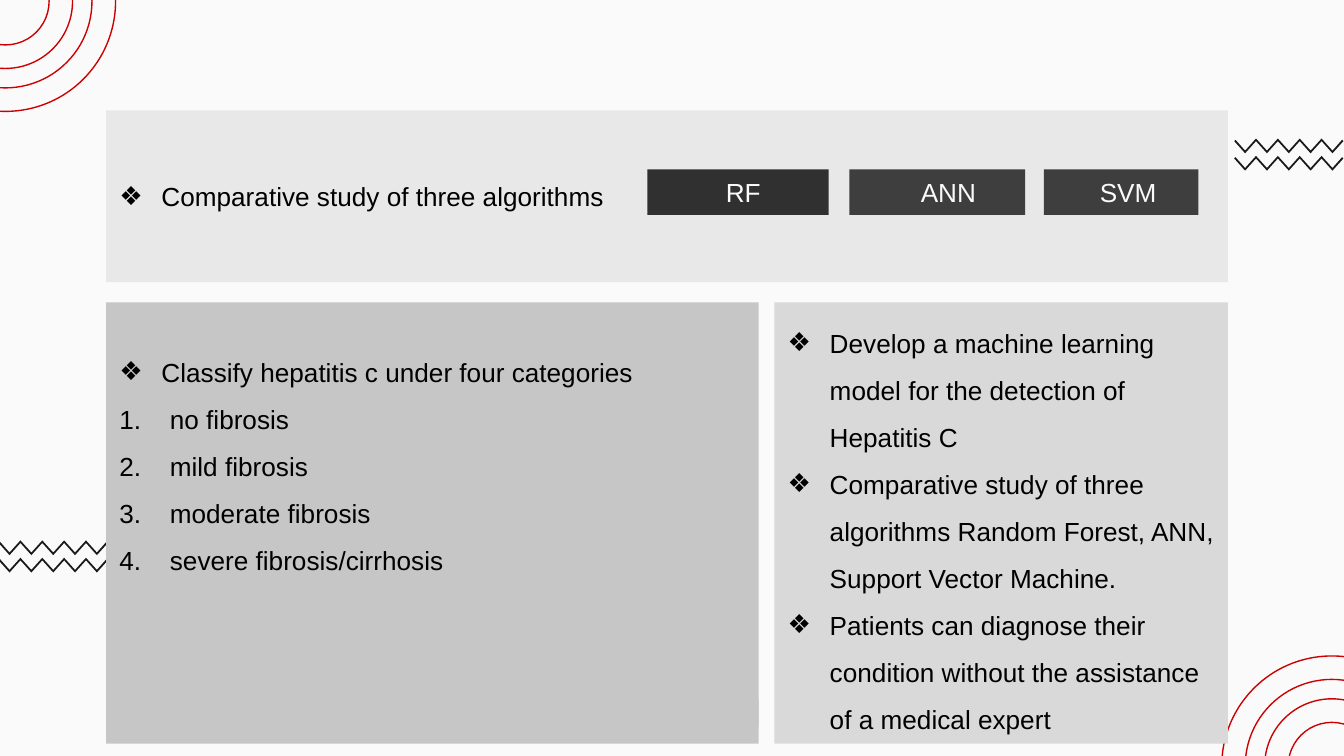
from lxml import etree
from pptx import Presentation
from pptx.dml.color import RGBColor
from pptx.enum.shapes import MSO_SHAPE
from pptx.enum.text import MSO_ANCHOR, PP_ALIGN
from pptx.oxml.ns import qn
from pptx.util import Pt

RECT, OVAL = MSO_SHAPE.RECTANGLE, MSO_SHAPE.OVAL
TOP, MIDDLE = MSO_ANCHOR.TOP, MSO_ANCHOR.MIDDLE
LEFT = PP_ALIGN.LEFT
FONT = "Arial"
COLORS = {
    "paper": "FAFAFA", "black": "000000", "wave": "191919", "ring": "CC0000",
    "pale": "E8E8E8", "mid": "C6C6C6", "soft": "D9D9D9",
    "dark": "303030", "slate": "3E3E3E",
}
RADII = (59, 46.4, 36, 23.4)
CARD_X, CARD_Y = 56.9, 162
TAGS = (
    ("RF", 346.8, 97.2, 42, "dark"),
    ("ANN", 455, 94.2, 38.3, "slate"),
    ("SVM", 559.2, 82.8, 30, "slate"),
)
STAGES = ("no fibrosis", "mild fibrosis", "moderate fibrosis",
          "severe fibrosis/cirrhosis")
GOALS = (
    "Develop a machine learning model for the detection of Hepatitis C",
    "Comparative study of three algorithms Random Forest, ANN, "
    "Support Vector Machine.",
    "Patients can diagnose their condition without the assistance "
    "of a medical expert",
)


def color(name):
    return RGBColor.from_string(COLORS[name])


def paint(shape, fill):
    shape.fill.solid()
    shape.fill.fore_color.rgb = color(fill)
    shape.line.fill.background()
    shape.shadow.inherit = False


def add_box(slide, x, y, w, h, fill, inset=(7.2, 3.6), anchor=MIDDLE):
    box = slide.shapes.add_shape(RECT, Pt(x), Pt(y), Pt(w), Pt(h))
    paint(box, fill)
    frame = box.text_frame
    frame.word_wrap = True
    frame.vertical_anchor = anchor
    frame.margin_left, frame.margin_top = Pt(inset[0]), Pt(inset[1])
    frame.margin_right, frame.margin_bottom = Pt(7.2), Pt(3.6)
    return frame


def add_mark(para, mark, indent):
    props = para._p.get_or_add_pPr()
    props.set("marL", str(Pt(indent)))
    props.set("indent", str(-Pt(indent)))
    tint = etree.SubElement(props, qn("a:buClr"))
    etree.SubElement(tint, qn("a:srgbClr"), val=COLORS["black"])
    etree.SubElement(props, qn("a:buFont"), typeface=FONT)
    if mark == "1.":
        etree.SubElement(props, qn("a:buAutoNum"), type="arabicPeriod")
    else:
        etree.SubElement(props, qn("a:buChar"), char=mark)


def add_text(frame, text, mark=None, indent=22.5, space=1.0, ink="black"):
    para = frame.paragraphs[0]
    if para.runs:
        para = frame.add_paragraph()
    para.alignment = LEFT
    para.line_spacing = space
    if mark:
        add_mark(para, mark, indent)
    run = para.add_run()
    run.text = text
    run.font.name = FONT
    run.font.size = Pt(14)
    run.font.color.rgb = color(ink)


def add_wave(slide, x, y):
    inner = [(5.85 * i, 6.5 * (i % 2)) for i in range(1, 10)]
    upper = [(0.7, 0.7)] + inner + [(57.8, 0.7)]
    lower = [(0, 1.4)] + [(a, b + 1.4) for a, b in inner] + [(58.5, 1.4)]
    spots = [(Pt(x + a), Pt(y + b)) for a, b in upper + lower[::-1]]
    maker = slide.shapes.build_freeform(*spots[0])
    maker.add_line_segments(spots[1:], close=True)
    paint(maker.convert_to_shape(), "wave")


def add_rings(slide, x, y):
    for rad in RADII:
        ring = slide.shapes.add_shape(
            OVAL, Pt(x - rad), Pt(y - rad), Pt(2 * rad), Pt(2 * rad))
        ring.fill.background()
        ring.line.color.rgb = color("ring")
        ring.line.width = Pt(0.75)
        ring.shadow.inherit = False


def main():
    deck = Presentation()
    deck.slide_width, deck.slide_height = Pt(720), Pt(405)
    slide = deck.slides.add_slide(deck.slide_layouts[6])
    slide.background.fill.solid()
    slide.background.fill.fore_color.rgb = color("paper")

    for x, y in ((661.2, 74.2), (-0.7, 289.5)):
        add_wave(slide, x, y)
        add_wave(slide, x, y + 9.3)
    add_rings(slide, 2.9, 0.7)
    add_rings(slide, 713.5, 410.4)

    study = add_box(slide, CARD_X, 59.2, 601, 92, "pale")
    add_text(study, "Comparative study of three algorithms", mark="❖")

    types = add_box(slide, CARD_X, CARD_Y, 349.6, 227.5, "mid",
                    inset=(7.2, 20.4), anchor=TOP)
    add_text(types, "Classify hepatitis c under four categories",
             mark="❖", space=1.5)
    for stage in STAGES:
        add_text(types, stage, mark="1.", indent=27, space=1.5)

    goals = add_box(slide, 414.9, CARD_Y, 242.9, 236.4, "soft")
    for goal in GOALS:
        add_text(goals, goal, mark="❖", space=1.5)

    for name, x, w, pad, fill in TAGS:
        tag = add_box(slide, x, 90.8, w, 24.4, fill, inset=(pad, 3.6))
        add_text(tag, name, ink="paper")

    add_box(slide, CARD_X, 374.6, 349.6, 23.8, "mid")
    deck.save("out.pptx")


if __name__ == "__main__":
    main()
